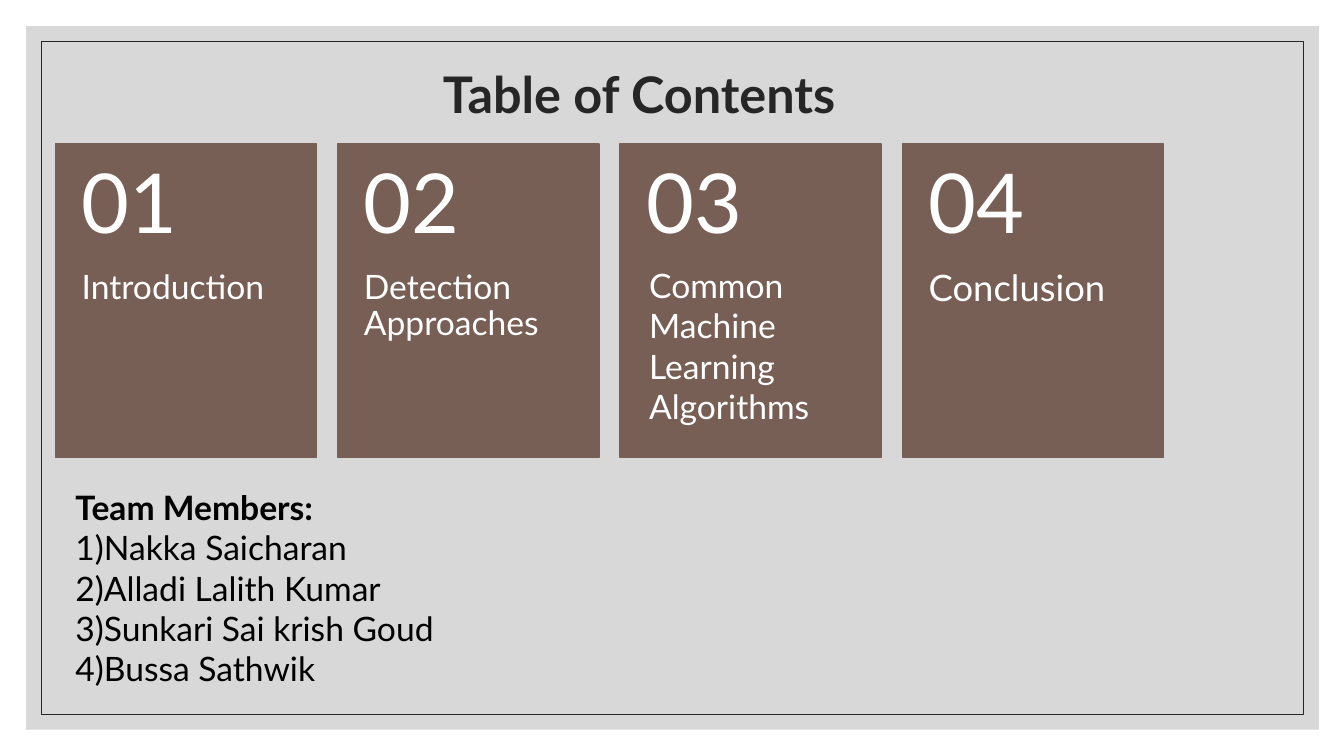
from lxml import etree
from pptx import Presentation
from pptx.dml.color import RGBColor
from pptx.enum import shapes, text
from pptx.oxml import ns
from pptx.util import Inches, Pt

GREY = RGBColor(0xBF, 0xBF, 0xBF)
CHARCOAL = RGBColor(0x26, 0x26, 0x26)
BROWN = RGBColor(0x77, 0x5F, 0x55)
WHITE = RGBColor(0xFF, 0xFF, 0xFF)
BLACK = RGBColor(0, 0, 0)

FONT = "Lato"
CARD_LEFT, CARD_TOP, CARD_STEP = 0.55, 1.43, 2.8
CARD_WIDTH, CARD_HEIGHT, NUMBER_HEIGHT = 2.59, 3.11, 1.25
NUMBER_INSETS = (0.26, 0.18, 0.26, 0.18)
TOPIC_INSETS = (0.26, 0, 0.26, 0.36)
PLAIN_INSETS = (0.1, 0.05, 0.1, 0.05)
TOPICS = [("Introduction", 24), ("Detection Approaches", 24),
          ("Common Machine Learning Algorithms", 24), ("Conclusion", 26)]
MEMBERS = ["Nakka Saicharan", "Alladi Lalith Kumar",
           "Sunkari Sai krish Goud", "Bussa Sathwik"]


def add_panel(slide, box, fill=None, line=None, width=1, opacity=None):
    """Add a rectangle with an optional fill, outline and opacity percentage."""
    shape = slide.shapes.add_shape(shapes.MSO_SHAPE.RECTANGLE, *map(Inches, box))
    shape.shadow.inherit = False
    if fill is None:
        shape.fill.background()
    else:
        shape.fill.solid()
        shape.fill.fore_color.rgb = fill
    if line is None:
        shape.line.fill.background()
    else:
        shape.line.color.rgb = line
        shape.line.width = Pt(width)
    if opacity is not None:
        color = shape.fill._xPr.find(".//" + ns.qn("a:srgbClr"))
        etree.SubElement(color, ns.qn("a:alpha"), val=str(opacity * 1000))


def add_text(slide, box, lines, size, color, insets=PLAIN_INSETS, spacing=1.0,
             anchor=text.MSO_ANCHOR.TOP, align=text.PP_ALIGN.LEFT, bold_first=False):
    """Add a wrapping text box with one paragraph per line."""
    frame = slide.shapes.add_textbox(*map(Inches, box)).text_frame
    frame.word_wrap = True
    frame.vertical_anchor = anchor
    (frame.margin_left, frame.margin_top,
     frame.margin_right, frame.margin_bottom) = map(Inches, insets)
    frame.text = "\n".join(lines)
    for index, paragraph in enumerate(frame.paragraphs):
        paragraph.alignment = align
        paragraph.line_spacing = spacing
        paragraph.font.name = FONT
        paragraph.font.size = Pt(size)
        paragraph.font.bold = bold_first and index == 0
        paragraph.font.color.rgb = color


def add_card(slide, index, topic, size):
    """Add a numbered card; a long topic gets a narrower, looser text box."""
    left = CARD_LEFT + index * CARD_STEP
    add_panel(slide, (left, CARD_TOP, CARD_WIDTH, CARD_HEIGHT), BROWN, BROWN)
    add_text(slide, (left, CARD_TOP, CARD_WIDTH, NUMBER_HEIGHT), [f"{index + 1:02}"],
             59, WHITE, NUMBER_INSETS, 0.9, text.MSO_ANCHOR.MIDDLE)
    if len(topic) > 20:
        add_text(slide, (left + 0.19, 2.58, 2.03, 2.02), [topic], size, WHITE)
    else:
        add_text(slide, (left, CARD_TOP + NUMBER_HEIGHT, CARD_WIDTH, 1.87), [topic],
                 size, WHITE, TOPIC_INSETS, 0.9)


def main():
    """Build the table of contents slide."""
    presentation = Presentation()
    presentation.slide_width = Inches(13.33)
    presentation.slide_height = Inches(7.5)
    slide = presentation.slides.add_slide(presentation.slide_layouts[6])
    add_panel(slide, (0.26, 0.26, 12.82, 6.98), fill=GREY, opacity=60)
    add_panel(slide, (0.41, 0.41, 12.52, 6.68), line=CHARCOAL, width=0.5)
    add_text(slide, (0.84, 0.21, 11, 1.5), ["Table of Contents"], 36, CHARCOAL,
             spacing=0.9, anchor=text.MSO_ANCHOR.MIDDLE,
             align=text.PP_ALIGN.CENTER, bold_first=True)
    for index, (topic, size) in enumerate(TOPICS):
        add_card(slide, index, topic, size)
    members = [f"{number}){name}" for number, name in enumerate(MEMBERS, 1)]
    add_text(slide, (0.65, 4.78, 7.72, 2.12), ["Team Members:"] + members,
             24, BLACK, bold_first=True)
    presentation.save("out.pptx")


if __name__ == "__main__":
    main()
